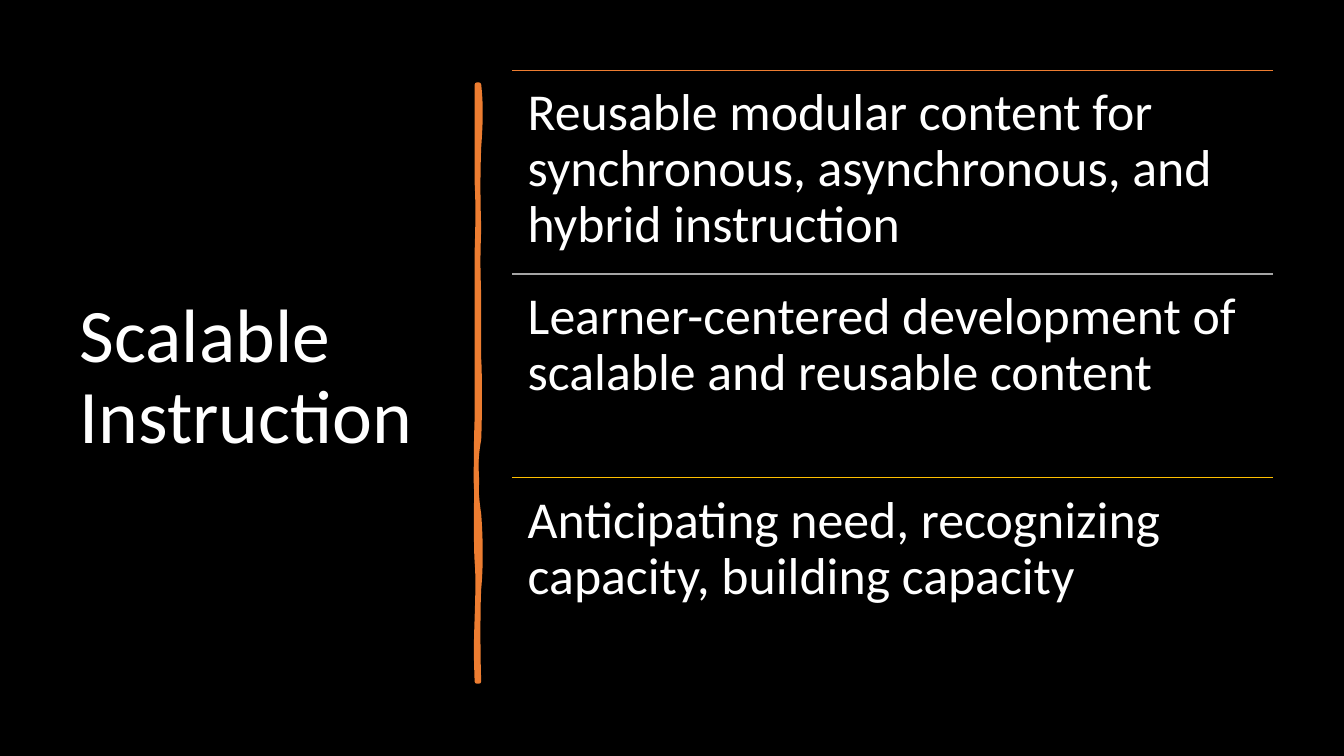
from lxml import etree
from pptx import Presentation
from pptx import util as u
from pptx.dml.color import RGBColor
from pptx.enum import shapes, text
from pptx.oxml.ns import qn

BLACK = RGBColor(0x00, 0x00, 0x00)
WHITE = RGBColor(0xFF, 0xFF, 0xFF)
ORANGE = RGBColor(0xED, 0x7D, 0x31)
GRAY = RGBColor(0xA5, 0xA5, 0xA5)
GOLD = RGBColor(0xFF, 0xC0, 0x00)

TITLE = "Scalable Instruction"
POINTS = [
    ("Reusable modular content for synchronous, asynchronous, and hybrid instruction", ORANGE),
    ("Learner-centered development of scalable and reusable content", GRAY),
    ("Anticipating need, recognizing capacity, building capacity", GOLD),
]

# Brush stroke: each curve is (bend x, first control y, second control y, end y) in inches.
STROKE_TOP, STROKE_BOTTOM = 0.84, 6.76
RIGHT_EDGE, LEFT_EDGE = 4.75, 4.73
OUTLINE_DOWN = [
    (4.77, 1.02, 1.19, 1.46), (4.74, 1.73, 1.95, 2.26), (4.74, 2.57, 2.62, 2.94),
    (4.75, 3.25, 3.42, 3.56), (4.76, 3.7, 4.14, 4.36), (4.71, 4.57, 4.84, 5.1),
    (4.77, 5.36, 5.64, 5.84), (4.74, 6.03, 6.5, 6.76),
]
OUTLINE_UP = [
    (4.72, 6.46, 6.44, 6.13), (4.74, 5.83, 5.7, 5.57), (4.72, 5.44, 4.95, 4.77),
    (4.72, 4.59, 4.45, 4.15), (4.73, 3.86, 3.73, 3.35), (4.73, 2.98, 2.81, 2.5),
    (4.74, 2.18, 2, 1.81), (4.73, 1.63, 1.04, 0.84),
]
BODY_DOWN = [
    (4.74, 1.15, 1.25, 1.52), (4.75, 1.79, 1.97, 2.08), (4.75, 2.2, 2.55, 2.94),
    (4.75, 3.33, 3.43, 3.62), (4.77, 3.81, 3.97, 4.3), (4.74, 4.63, 4.74, 5.16),
    (4.75, 5.57, 5.53, 5.78), (4.75, 6.03, 6.47, 6.76),
]
BODY_UP = [
    (4.72, 6.49, 6.32, 6.13), (4.73, 5.95, 5.69, 5.39), (4.73, 5.1, 5, 4.71),
    (4.73, 4.42, 4.2, 3.86), (4.71, 3.51, 3.25, 3), (4.71, 2.75, 2.59, 2.38),
    (4.74, 2.16, 1.85, 1.64), (4.73, 1.43, 1.21, 0.84),
]

SLIDE_WIDTH, SLIDE_HEIGHT = u.Inches(13.33), u.Inches(7.5)
TOP = u.Inches(0.7)
LIST_LEFT, LIST_WIDTH = u.Inches(5.08), u.Inches(7.55)
ROW_HEIGHT = u.Inches(2.02)


def write(shape, words, size, anchor=text.MSO_ANCHOR.TOP, inset=None, space_after=0):
    frame = shape.text_frame
    frame.word_wrap = True
    frame.auto_size = text.MSO_AUTO_SIZE.NONE
    frame.vertical_anchor = anchor
    if inset is not None:
        frame.margin_left = frame.margin_right = inset
        frame.margin_top = frame.margin_bottom = inset
    frame.text = words
    paragraph = frame.paragraphs[0]
    paragraph.alignment = text.PP_ALIGN.LEFT
    paragraph.line_spacing = 0.9
    paragraph.space_after = u.Pt(space_after)
    paragraph.font.name = "Calibri"
    paragraph.font.size = u.Pt(size)
    paragraph.font.color.rgb = WHITE


def add_divider(group, y, color):
    line = group.shapes.add_connector(
        shapes.MSO_CONNECTOR.STRAIGHT, LIST_LEFT, y, LIST_LEFT + LIST_WIDTH, y)
    line.line.color.rgb = color
    line.line.width = u.Pt(1)
    etree.SubElement(line._element.spPr, qn("a:effectLst"))


def stroke_curves(down, up):
    """List each curve of the closed stroke as its two control points and its end."""
    curves = []
    for x, edge in ((RIGHT_EDGE, down), (LEFT_EDGE, up)):
        curves += [((bend, first), (bend, second), (x, end)) for bend, first, second, end in edge]
    cap_bottom = ((4.74, STROKE_BOTTOM), (LEFT_EDGE, STROKE_BOTTOM), (LEFT_EDGE, STROKE_BOTTOM))
    cap_top = ((4.74, STROKE_TOP), (4.74, STROKE_TOP), (RIGHT_EDGE, STROKE_TOP))
    curves.insert(len(down), cap_bottom)
    return curves + [cap_top]


def add_path(path_list, size, curves, **options):
    """Add a closed path of curves, laid on its side to suit the quarter turn."""
    path = etree.SubElement(path_list, qn("a:path"), w=str(size[0]), h=str(size[1]), **options)

    def add_step(tag, points):
        step = etree.SubElement(path, qn(tag))
        for x, y in points:
            etree.SubElement(step, qn("a:pt"), x=str(u.Inches(y - STROKE_TOP)),
                             y=str(u.Inches(RIGHT_EDGE - x)))

    add_step("a:moveTo", [(RIGHT_EDGE, STROKE_TOP)])
    for points in curves:
        add_step("a:cubicBezTo", points)
    etree.SubElement(path, qn("a:close"))


def add_stroke(slide):
    length = u.Inches(STROKE_BOTTOM - STROKE_TOP)
    thickness = u.Inches(RIGHT_EDGE - LEFT_EDGE)
    left = u.Inches((LEFT_EDGE + RIGHT_EDGE) / 2) - length // 2
    top = u.Inches((STROKE_TOP + STROKE_BOTTOM) / 2) - thickness // 2
    builder = slide.shapes.build_freeform(left, top)
    builder.add_line_segments([(left + length, top), (left + length, top + thickness),
                               (left, top + thickness)])
    stroke = builder.convert_to_shape()
    stroke.rotation = 90
    stroke.shadow.inherit = False
    stroke.fill.solid()
    stroke.fill.fore_color.rgb = ORANGE
    stroke.line.color.rgb = ORANGE
    stroke.line.width = u.Pt(3.25)

    path_list = stroke._element.spPr.find(qn("a:custGeom")).find(qn("a:pathLst"))
    path_list.remove(path_list[0])
    size = (length, thickness)
    add_path(path_list, size, stroke_curves(OUTLINE_DOWN, OUTLINE_UP), fill="none")
    add_path(path_list, size, stroke_curves(BODY_DOWN, BODY_UP), stroke="0")


def main():
    presentation = Presentation()
    presentation.slide_width, presentation.slide_height = SLIDE_WIDTH, SLIDE_HEIGHT
    slide = presentation.slides.add_slide(presentation.slide_layouts[5])
    slide.background.fill.solid()
    slide.background.fill.fore_color.rgb = BLACK

    title = slide.shapes.title
    title.left, title.top = u.Inches(0.69), TOP
    title.width, title.height = u.Inches(3.74), u.Inches(6.11)
    write(title, TITLE, 54, anchor=text.MSO_ANCHOR.MIDDLE)

    add_stroke(slide)

    group = slide.shapes.add_group_shape()
    for row, (words, color) in enumerate(POINTS):
        y = TOP + row * ROW_HEIGHT
        add_divider(group, y, color)
        box = group.shapes.add_textbox(LIST_LEFT, y, LIST_WIDTH, ROW_HEIGHT)
        write(box, words, 37, inset=u.Pt(11.1), space_after=13)

    presentation.save("out.pptx")


if __name__ == "__main__":
    main()
